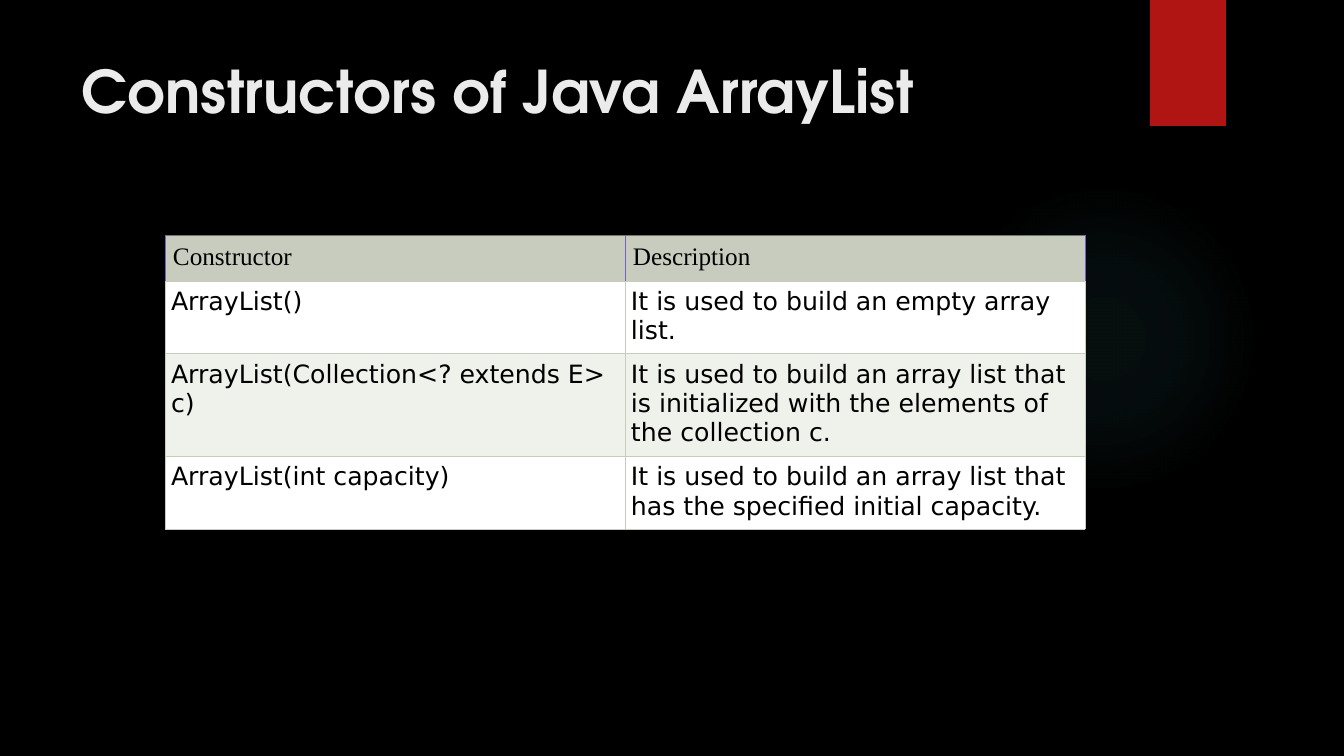
from dataclasses import dataclass

from lxml import etree
from pptx import Presentation
from pptx.dml.color import RGBColor
from pptx.enum.shapes import MSO_SHAPE
from pptx.enum.text import MSO_ANCHOR, PP_ALIGN
from pptx.oxml import parse_xml
from pptx.oxml.ns import nsdecls, qn
from pptx.shapes.autoshape import Shape
from pptx.slide import Slide
from pptx.util import Emu, Pt

OVAL = MSO_SHAPE.OVAL
RECTANGLE = MSO_SHAPE.RECTANGLE
TOP = MSO_ANCHOR.TOP
LEFT = PP_ALIGN.LEFT

BLACK = RGBColor(0x00, 0x00, 0x00)
WHITE = RGBColor(0xFF, 0xFF, 0xFF)
TITLE_GREY = RGBColor(0xEB, 0xEB, 0xEB)
RED = RGBColor(0xB0, 0x15, 0x13)
TEAL = RGBColor(0x50, 0xB9, 0xC1)
SAGE = RGBColor(0xC7, 0xCC, 0xBE)
PALE_SAGE = RGBColor(0xEF, 0xF1, 0xEB)
PURPLE = RGBColor(0x78, 0x5F, 0xC0)

TITLE_FONT = "TeX Gyre Adventor"
HEADER_FONT = "Times New Roman"
BODY_FONT = "DejaVu Sans"

BLANK_LAYOUT = 6
EDGES = ("lnL", "lnR", "lnT", "lnB")
GLOW_STOPS = ((0, 7), (36, 6), (69, 0))


@dataclass(frozen=True)
class Box:
    left: int
    top: int
    width: int
    height: int


@dataclass(frozen=True)
class TextStyle:
    font: str
    size: int
    color: RGBColor
    bold: bool = False


@dataclass(frozen=True)
class TableRow:
    constructor: str
    description: str
    height: int
    fill: RGBColor
    font: str = BODY_FONT
    inset: int = 6
    border: RGBColor = SAGE


TABLE_BOX = Box(165, 235, 920, 282)
ROWS = (
    TableRow("Constructor", "Description", 44, SAGE, HEADER_FONT, 8, PURPLE),
    TableRow("ArrayList()", "It is used to build an empty array list.", 70, WHITE),
    TableRow(
        "ArrayList(Collection<? extends E> c)",
        "It is used to build an array list that is initialized with the elements of the collection c.",
        99,
        PALE_SAGE,
    ),
    TableRow(
        "ArrayList(int capacity)",
        "It is used to build an array list that has the specified initial capacity.",
        69,
        WHITE,
    ),
)


def px(n: int) -> Emu:
    return Emu(round(n * 914400 / 100.8))


def place(box: Box) -> tuple[Emu, Emu, Emu, Emu]:
    return px(box.left), px(box.top), px(box.width), px(box.height)


def add_run(tf, text: str, style: TextStyle) -> None:
    p = tf.paragraphs[0]
    p.alignment = LEFT
    r = p.add_run()
    r.text = text
    r.font.name = style.font
    r.font.size = Pt(style.size)
    r.font.bold = style.bold
    r.font.color.rgb = style.color


def add_block(s: Slide, kind: MSO_SHAPE, box: Box, fill: RGBColor) -> Shape:
    sp = s.shapes.add_shape(kind, *place(box))
    sp.shadow.inherit = False
    sp.fill.solid()
    sp.fill.fore_color.rgb = fill
    sp.line.fill.background()
    return sp


def add_glow(s: Slide, box: Box) -> None:
    sp = add_block(s, OVAL, box, TEAL)
    stops = "".join(
        f'<a:gs pos="{pos * 1000}"><a:srgbClr val="{TEAL}">'
        f'<a:alpha val="{alpha * 1000}"/></a:srgbClr></a:gs>'
        for pos, alpha in GLOW_STOPS
    )
    gradient = parse_xml(
        f'<a:gradFill {nsdecls("a")} rotWithShape="1"><a:gsLst>{stops}</a:gsLst>'
        '<a:path path="circle"><a:fillToRect l="50000" t="50000" r="50000" b="50000"/>'
        "</a:path></a:gradFill>"
    )
    solid = sp.element.spPr.find(qn("a:solidFill"))
    sp.element.spPr.replace(solid, gradient)


def add_title(s: Slide, box: Box, text: str) -> None:
    tf = s.shapes.add_textbox(*place(box)).text_frame
    tf.word_wrap = True
    tf.vertical_anchor = TOP
    add_run(tf, text, TextStyle(TITLE_FONT, 42, TITLE_GREY, True))


def set_borders(cell, row: TableRow) -> None:
    tc_pr = cell._tc.get_or_add_tcPr()
    for edge in EDGES:
        color = SAGE if edge == "lnB" else row.border
        ln = etree.SubElement(tc_pr, qn(f"a:{edge}"), w=str(Pt(0.5)))
        solid = etree.SubElement(ln, qn("a:solidFill"))
        etree.SubElement(solid, qn("a:srgbClr"), val=str(color))


def fill_cell(cell, text: str, row: TableRow) -> None:
    set_borders(cell, row)
    cell.fill.solid()
    cell.fill.fore_color.rgb = row.fill
    inset = px(row.inset)
    cell.margin_left = cell.margin_right = inset
    cell.margin_top = cell.margin_bottom = inset
    cell.vertical_anchor = TOP
    add_run(cell.text_frame, text, TextStyle(row.font, 18, BLACK))


def add_constructor_table(s: Slide) -> None:
    table = s.shapes.add_table(len(ROWS), 2, *place(TABLE_BOX)).table
    table.first_row = False
    table.horz_banding = False
    for column in table.columns:
        column.width = px(TABLE_BOX.width // 2)
    for i, row in enumerate(ROWS):
        table.rows[i].height = px(row.height)
        for j, text in enumerate((row.constructor, row.description)):
            fill_cell(table.cell(i, j), text, row)


def main() -> None:
    prs = Presentation()
    prs.slide_width = px(1344)
    prs.slide_height = px(756)
    s = prs.slides.add_slide(prs.slide_layouts[BLANK_LAYOUT])
    s.background.fill.solid()
    s.background.fill.fore_color.rgb = BLACK
    add_glow(s, Box(949, 184, 310, 310))
    add_block(s, RECTANGLE, Box(1150, 0, 76, 126), RED)
    add_title(s, Box(72, 50, 1037, 154), "Constructors of Java ArrayList")
    add_constructor_table(s)
    prs.save("out.pptx")


if __name__ == "__main__":
    main()
